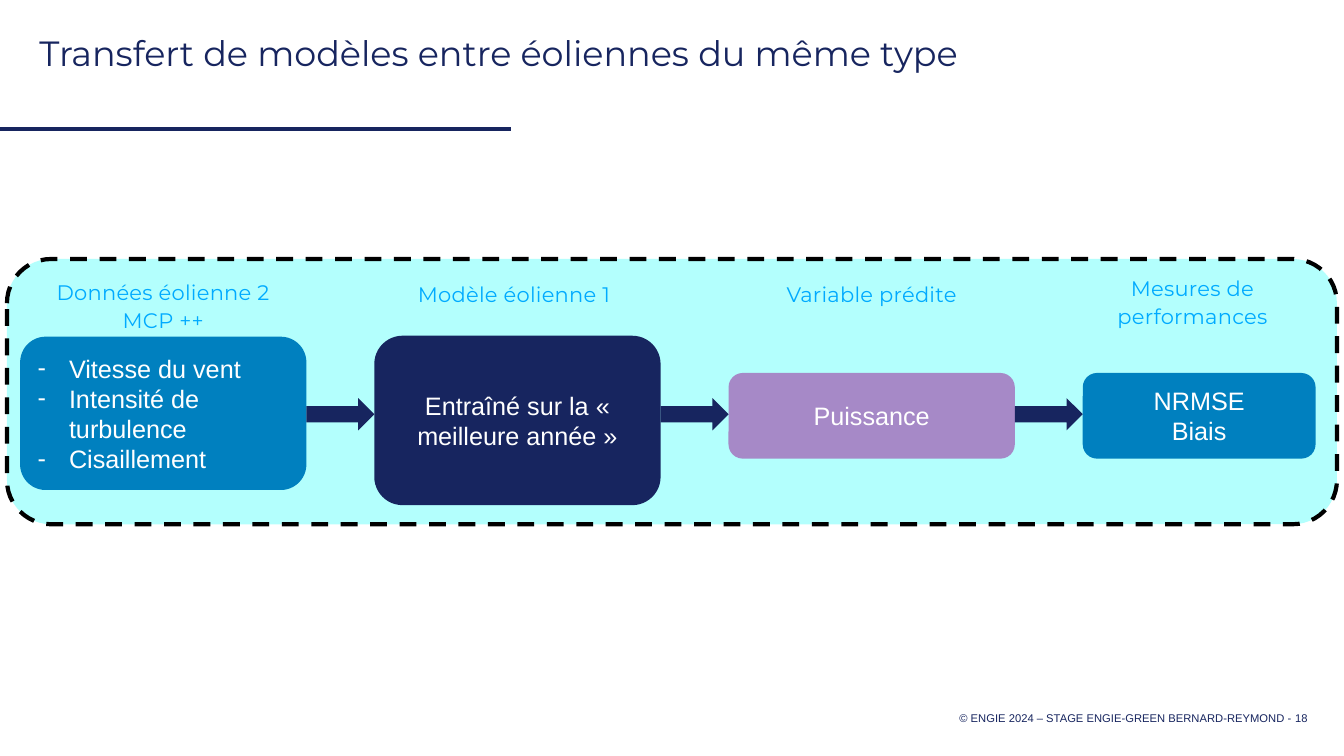
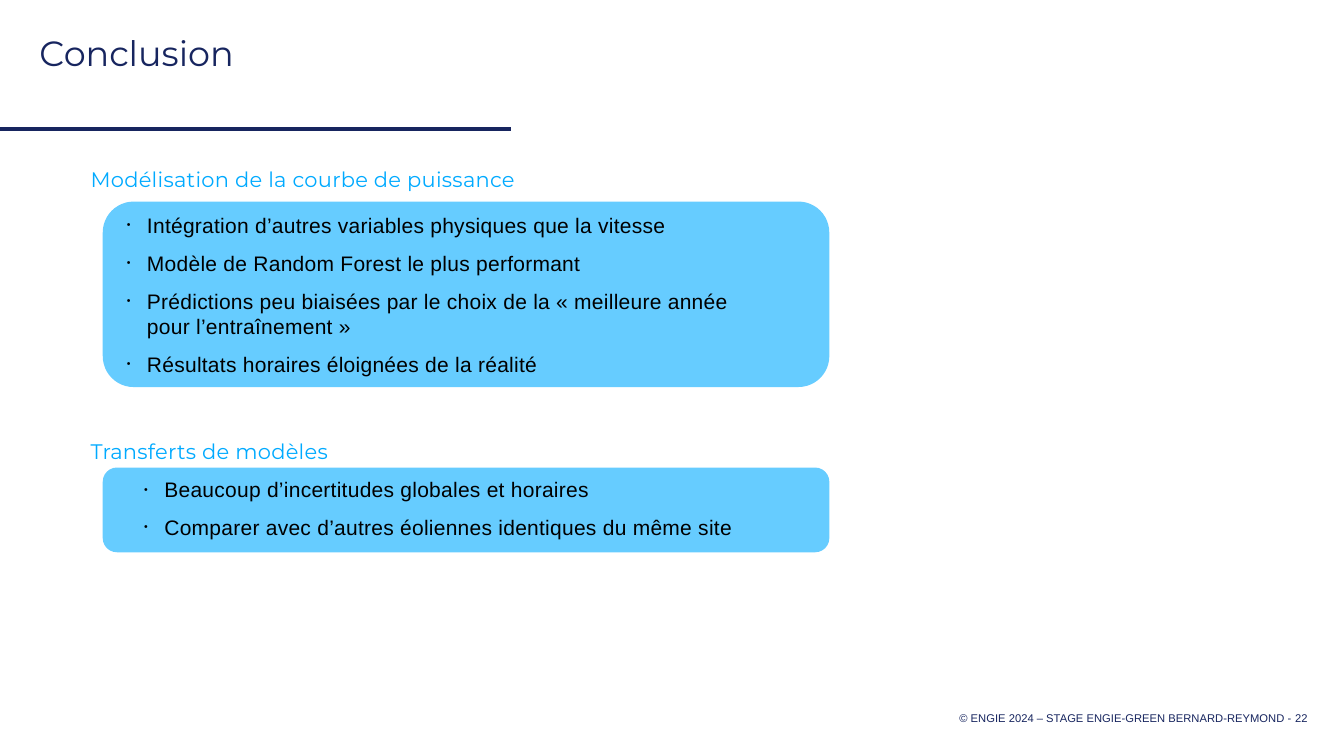
import pptx
import pptx.util
import pptx.dml.color
import pptx.enum.dml
import pptx.enum.shapes
import pptx.enum.text
import pptx.oxml
import pptx.oxml.ns

Pt = pptx.util.Pt
Shapes = pptx.enum.shapes.MSO_SHAPE
Align = pptx.enum.text.PP_ALIGN
Anchor = pptx.enum.text.MSO_ANCHOR

COLORS = {
    "navy": "17255F", "blue": "0080BF", "sky": "66CCFF", "azure": "00AAFF",
    "aqua": "B3FFFD", "purple": "A689C7", "black": "000000", "white": "FFFFFF",
}

# Text styles
TITLE = dict(font="Montserrat", size=25, color="navy", leading=0.95)
HEADING = dict(font="Montserrat", size=15, color="azure", leading=1.1, tracking=20)
CENTERED_HEADING = dict(HEADING, align=Align.CENTER)
BOX = dict(font="Arial", size=18, color="white", align=Align.CENTER)
DASHED_BOX = dict(BOX, align=Align.LEFT, bullet="-", indent=22.5)
BULLETS = dict(font="Arial", size=15, color="black", tracking=20, gap=9,
               bullet="•", bullet_percent=50, indent=14.4)
FOOTER = dict(font="Arial", size=8, color="navy")

FOOTER_TEXT = "© ENGIE 2024 – STAGE ENGIE-GREEN BERNARD-REYMOND -"


def rgb(name):
    return pptx.dml.color.RGBColor.from_string(COLORS[name])


def set_bullet(paragraph, char, percent, indent):
    properties = paragraph._p.get_or_add_pPr()
    properties.set("marL", str(Pt(indent)))
    properties.set("indent", str(-Pt(indent)))
    if char:
        marks = [("a:buSzPct", "val", str(percent * 1000)),
                 ("a:buFont", "typeface", "Arial"), ("a:buChar", "char", char)]
    else:
        marks = [("a:buNone", None, None)]
    for tag, key, value in marks:
        mark = pptx.oxml.parse_xml(f"<{tag} {pptx.oxml.ns.nsdecls('a')}/>")
        if key:
            mark.set(key, value)
        properties.append(mark)


def write(frame, lines, font, size, color, align=Align.LEFT, leading=1.0, tracking=0,
          gap=0, bullet=None, bullet_percent=100, indent=0,
          anchor=Anchor.TOP, wrap=True):
    frame.word_wrap = wrap
    frame.auto_size = pptx.enum.text.MSO_AUTO_SIZE.NONE
    frame.vertical_anchor = anchor
    for index, line in enumerate(lines):
        paragraph = frame.paragraphs[0] if index == 0 else frame.add_paragraph()
        set_bullet(paragraph, bullet, bullet_percent, indent)
        paragraph.alignment = align
        paragraph.line_spacing = leading
        paragraph.space_before = Pt(gap if index else 0)
        run = paragraph.add_run()
        run.text = line
        run.font.name = font
        run.font.size = Pt(size)
        run.font.color.rgb = rgb(color)
        if tracking:
            run._r.get_or_add_rPr().set("spc", str(tracking))


def place(shape, left, top, width, height):
    shape.left, shape.top = Pt(left), Pt(top)
    shape.width, shape.height = Pt(width), Pt(height)
    return shape


def add_text(slide, box, lines, style, **options):
    text = slide.shapes.add_textbox(*map(Pt, box))
    write(text.text_frame, lines, **style, **options)


def add_block(slide, kind, box, fill):
    block = slide.shapes.add_shape(kind, *map(Pt, box))
    block.shadow.inherit = False
    block.fill.solid()
    block.fill.fore_color.rgb = rgb(fill)
    block.line.fill.background()
    return block


def add_frame(slide, title, number):
    """Title, rule below it and footer."""
    place(slide.shapes.title, 21, 21, 893, 36)
    write(slide.shapes.title.text_frame, [title], **TITLE)

    rule = slide.shapes.add_connector(
        pptx.enum.shapes.MSO_CONNECTOR.STRAIGHT, Pt(0), Pt(92), Pt(365), Pt(92))
    rule.line.color.rgb = rgb("navy")
    rule.line.width = Pt(2.5)
    rule._element.spPr.append(
        pptx.oxml.parse_xml(f"<a:effectLst {pptx.oxml.ns.nsdecls('a')}/>"))

    add_text(slide, (674, 504, 256, 17.3), [FOOTER_TEXT], FOOTER,
             align=Align.RIGHT, anchor=Anchor.MIDDLE, wrap=False)
    add_text(slide, (918, 504, 24, 17.3), [number], FOOTER,
             anchor=Anchor.MIDDLE, wrap=False)


def add_process(slide, left, top, width, height, steps):
    """Dashed panel holding headed boxes joined by arrows."""
    panel = add_block(slide, Shapes.ROUNDED_RECTANGLE, (left, top, width, height), "aqua")
    panel.line.color.rgb = rgb("black")
    panel.line.width = Pt(3)
    panel.line.dash_style = pptx.enum.dml.MSO_LINE.DASH

    step_width, arrow_width, heading_width = 204.5, 48.5, 191.5
    for index, step in enumerate(steps):
        heading, (shift, drop), lines, style, fill, (offset, box_width, box_height) = step
        x = left + 9.4 + index * (step_width + arrow_width)
        box = add_block(slide, Shapes.ROUNDED_RECTANGLE,
                        (x, top + offset, box_width, box_height), fill)
        write(box.text_frame, lines, anchor=Anchor.MIDDLE, **style)
        if index:
            add_block(slide, Shapes.RIGHT_ARROW,
                      (x - arrow_width, top + 99.4, arrow_width, 23), "navy")

        heading_box = (x + (box_width - heading_width) / 2 + shift, top + drop,
                       heading_width, 46)
        if index == 0:
            body = place(slide.placeholders[1], *heading_box)
            write(body.text_frame, [heading], **CENTERED_HEADING)
        else:
            add_text(slide, heading_box, [heading], CENTERED_HEADING)


def add_topic(slide, left, top, width, height, heading, heading_rise,
              list_placeholder, list_offset, points):
    """Heading above a rounded panel with a bulleted list."""
    panel = add_block(slide, Shapes.ROUNDED_RECTANGLE, (left, top, width, height), "sky")
    add_text(slide, (left - 15.8, top - heading_rise, width, 26), [heading], HEADING)
    # Lists stand in front of their panel
    panel._element.addnext(list_placeholder._element)
    dx, dy = list_offset
    place(list_placeholder, left + dx, top + dy, 449, height - dy)
    write(list_placeholder.text_frame, points, **BULLETS)


def transfer_slide(deck):
    slide = deck.slides.add_slide(deck.slide_layouts[1])
    add_frame(slide, "Transfert de modèles entre éoliennes du même type", "18")
    # Heading, its shift, lines, style, fill, box (offset, width, height)
    add_process(slide, 5, 185, 950, 189.5, [
        ("Données éolienne 2 MCP ++", (0, 9.4),
         ["Vitesse du vent", "Intensité de turbulence", "Cisaillement"],
         DASHED_BOX, "blue", (55.5, 204.5, 109.5)),
        ("Modèle éolienne 1", (-2.4, 11),
         ["Entraîné sur la « meilleure année »"],
         BOX, "navy", (54.8, 204.5, 121)),
        ("Variable prédite", (0, 11), ["Puissance"],
         BOX, "purple", (81.4, 204.5, 61.2)),
        ("Mesures de performances", (-4.7, 6.5), ["NRMSE", "Biais"],
         BOX, "blue", (81.4, 166.3, 61.2)),
    ])
    # The first heading stands in front of the panel
    slide.shapes._spTree.append(slide.placeholders[1]._element)


def conclusion_slide(deck):
    slide = deck.slides.add_slide(deck.slide_layouts[3])
    add_frame(slide, "Conclusion", "22")
    add_topic(slide, 73.4, 144, 519, 132.5,
              "Modélisation de la courbe de puissance", 30.2,
              slide.placeholders[1], (10, 4.3), [
                  "Intégration d’autres variables physiques que la vitesse",
                  "Modèle de Random Forest le plus performant",
                  "Prédictions peu biaisées par le choix de la "
                  "« meilleure année pour l’entraînement »",
                  "Résultats horaires éloignées de la réalité",
              ])
    add_topic(slide, 73.4, 334, 519, 60.5,
              "Transferts de modèles", 25.9,
              slide.placeholders[2], (22.4, 3), [
                  "Beaucoup d’incertitudes globales et horaires",
                  "Comparer avec d’autres éoliennes identiques du même site",
              ])


def main():
    deck = pptx.Presentation()
    deck.slide_width, deck.slide_height = Pt(960), Pt(540)
    transfer_slide(deck)
    conclusion_slide(deck)
    deck.save("out.pptx")


if __name__ == "__main__":
    main()
